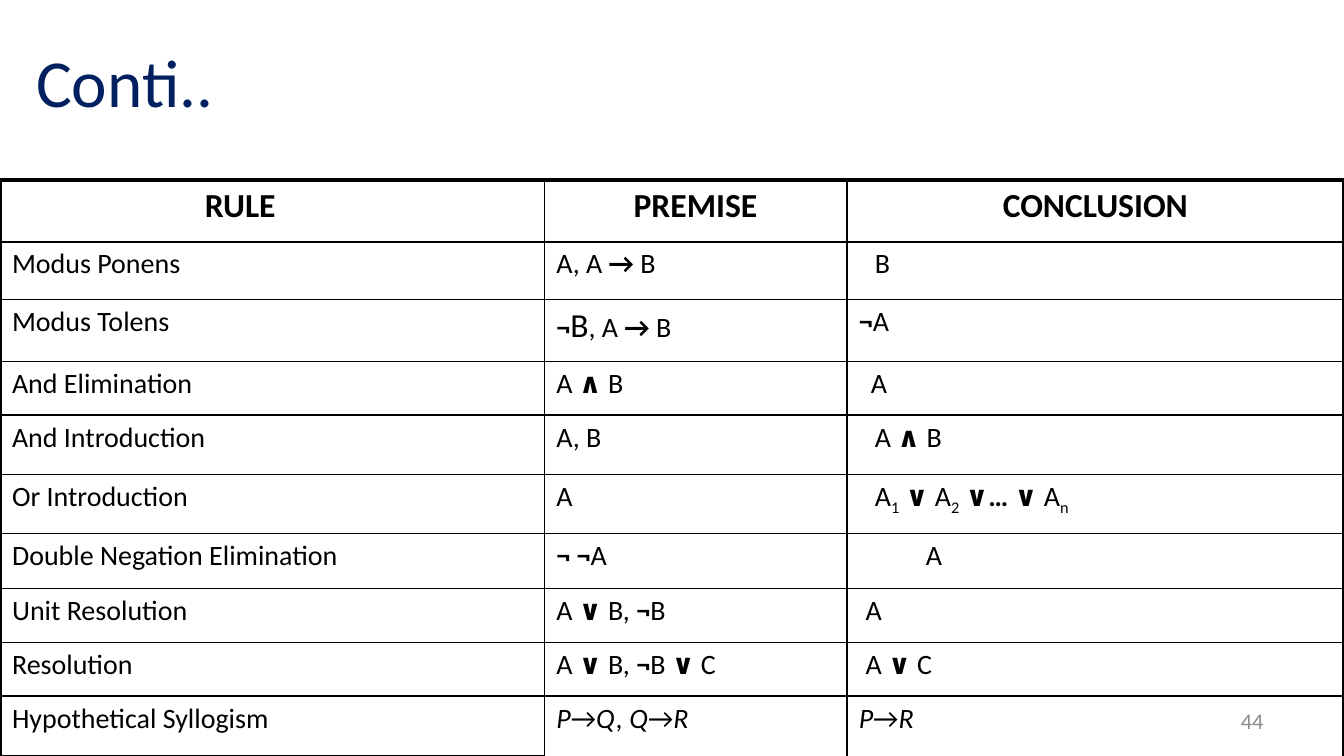
from dataclasses import dataclass

from lxml import etree
from pptx import Presentation
from pptx.dml.color import RGBColor
from pptx.enum import text
from pptx.oxml import ns
from pptx.util import Inches, Pt

FONT = "Calibri"
NAVY = RGBColor(0x00, 0x20, 0x60)
BLACK = RGBColor(0x00, 0x00, 0x00)
WHITE = RGBColor(0xFF, 0xFF, 0xFF)
GRAY = RGBColor(0x8C, 0x8C, 0x8C)

SLIDE_WIDTH = Inches(10)
SLIDE_HEIGHT = SLIDE_WIDTH * 9 // 16

BODY_SIZE = 15
LARGE_SIZE = 18
THIN, HEAVY = 1, 2.25

# Each marker switches its format on and off inside a string.
BOLD, ITALIC, SUBSCRIPT, LARGE = "*", "_", "~", "^"
MARKERS = BOLD + ITALIC + SUBSCRIPT + LARGE


@dataclass(frozen=True)
class InferenceRule:
    name: str
    premise: str
    conclusion: str
    height: float
    indent: float = 0


HEADINGS = ("RULE\t", "PREMISE", "CONCLUSION")
HEADING_HEIGHT = 0.46
COLUMN_WIDTHS = (4.05, 2.25, 3.7)
RULES = (
    InferenceRule("Modus Ponens", "A, A *→* B", "B", 0.43, 0.12),
    InferenceRule("Modus Tolens", "*¬*^B^, A *→* B", "*¬*A", 0.46),
    InferenceRule("And Elimination", "A *∧* B", "A", 0.4, 0.09),
    InferenceRule("And Introduction", "A, B", "A *∧* B", 0.44, 0.12),
    InferenceRule("Or Introduction", "A",
                  "A~1~ *∨* A~2~ *∨… ∨* A~n~", 0.44, 0.12),
    InferenceRule("Double Negation Elimination", "*¬ ¬*A", "A", 0.41, 0.5),
    InferenceRule("Unit Resolution", "A *∨* B, *¬*B", "A", 0.4, 0.05),
    InferenceRule("Resolution", "A *∨* B, *¬*B *∨* C", "A *∨* C", 0.4, 0.05),
    InferenceRule("Hypothetical Syllogism", "_P_→_Q, Q_→_R_", "_P_→_R_", 0.45),
)


def split_runs(marked: str) -> list[tuple[str, frozenset]]:
    """Split marked text into pieces, each with its active markers."""
    pieces, active, piece = [], frozenset(), ""
    for character in marked:
        if character not in MARKERS:
            piece += character
            continue
        if piece:
            pieces.append((piece, active))
        piece, active = "", active ^ {character}
    return pieces + [(piece, active)] if piece else pieces


def write_text(frame, marked: str, *, size: float = BODY_SIZE,
               color: RGBColor = BLACK, bold: bool = False,
               align=text.PP_ALIGN.LEFT, indent: float = 0) -> None:
    paragraph = frame.paragraphs[0]
    paragraph.alignment = align
    if indent:
        paragraph._p.get_or_add_pPr().set("marL", str(Inches(indent)))
    for piece, active in split_runs(marked):
        run = paragraph.add_run()
        run.text = piece
        font = run.font
        font.name = FONT
        font.size = Pt(LARGE_SIZE if LARGE in active else size)
        font.bold = bold or BOLD in active
        font.italic = ITALIC in active
        font.color.rgb = color
        if SUBSCRIPT in active:
            run._r.get_or_add_rPr().set("baseline", "-25000")


def add_label(slide, left: float, top: float, width: float, height: float,
              label: str, **text_format) -> None:
    frame = slide.shapes.add_textbox(
        Inches(left), Inches(top), Inches(width), Inches(height)).text_frame
    frame.word_wrap = True
    frame.vertical_anchor = text.MSO_ANCHOR.MIDDLE
    write_text(frame, label, **text_format)


def set_borders(cell, **widths: float) -> None:
    """Draw black borders; the keywords L, R, T, B give points, in that order."""
    properties = cell._tc.get_or_add_tcPr()
    for side, width in widths.items():
        line = etree.SubElement(properties, ns.qn(f"a:ln{side}"), w=str(Pt(width)))
        fill = etree.SubElement(line, ns.qn("a:solidFill"))
        etree.SubElement(fill, ns.qn("a:srgbClr"), val=str(BLACK))


def add_rules_table(slide) -> None:
    heights = [HEADING_HEIGHT] + [rule.height for rule in RULES]
    table = slide.shapes.add_table(
        len(heights), len(COLUMN_WIDTHS), Inches(0), Inches(1.34),
        Inches(sum(COLUMN_WIDTHS)), Inches(sum(heights))).table
    table.first_row = table.horz_banding = False
    for column, width in zip(table.columns, COLUMN_WIDTHS):
        column.width = Inches(width)
    for row, height in zip(table.rows, heights):
        row.height = Inches(height)

    last_row, last_column = len(RULES), len(COLUMN_WIDTHS) - 1
    for r, row in enumerate(table.rows):
        for c, cell in enumerate(row.cells):
            cell.margin_left = cell.margin_right = Inches(0.09)
            cell.margin_top = cell.margin_bottom = Inches(0.04)
            set_borders(cell,
                        L=HEAVY if c == 0 else THIN,
                        R=HEAVY if c == last_column else THIN,
                        T=HEAVY if r == 0 else THIN,
                        B=HEAVY if (r, c) == (last_row, 0) else THIN)
            cell.fill.background()

    for cell, heading in zip(table.rows[0].cells, HEADINGS):
        write_text(cell.text_frame, heading, size=LARGE_SIZE, bold=True,
                   align=text.PP_ALIGN.CENTER)
    for r, rule in enumerate(RULES, start=1):
        write_text(table.cell(r, 0).text_frame, rule.name)
        write_text(table.cell(r, 1).text_frame, rule.premise)
        write_text(table.cell(r, 2).text_frame, rule.conclusion,
                   indent=rule.indent)


def main() -> None:
    presentation = Presentation()
    presentation.slide_width = SLIDE_WIDTH
    presentation.slide_height = SLIDE_HEIGHT
    slide = presentation.slides.add_slide(presentation.slide_layouts[6])
    slide.background.fill.solid()
    slide.background.fill.fore_color.rgb = WHITE

    add_label(slide, 0.17, 0.1, 8.68, 1, "Conti..", size=36, color=NAVY)
    add_rules_table(slide)
    add_label(slide, 7.17, 5.21, 2.33, 0.3, "44", size=12, color=GRAY,
              align=text.PP_ALIGN.RIGHT)
    presentation.save("out.pptx")


if __name__ == "__main__":
    main()
